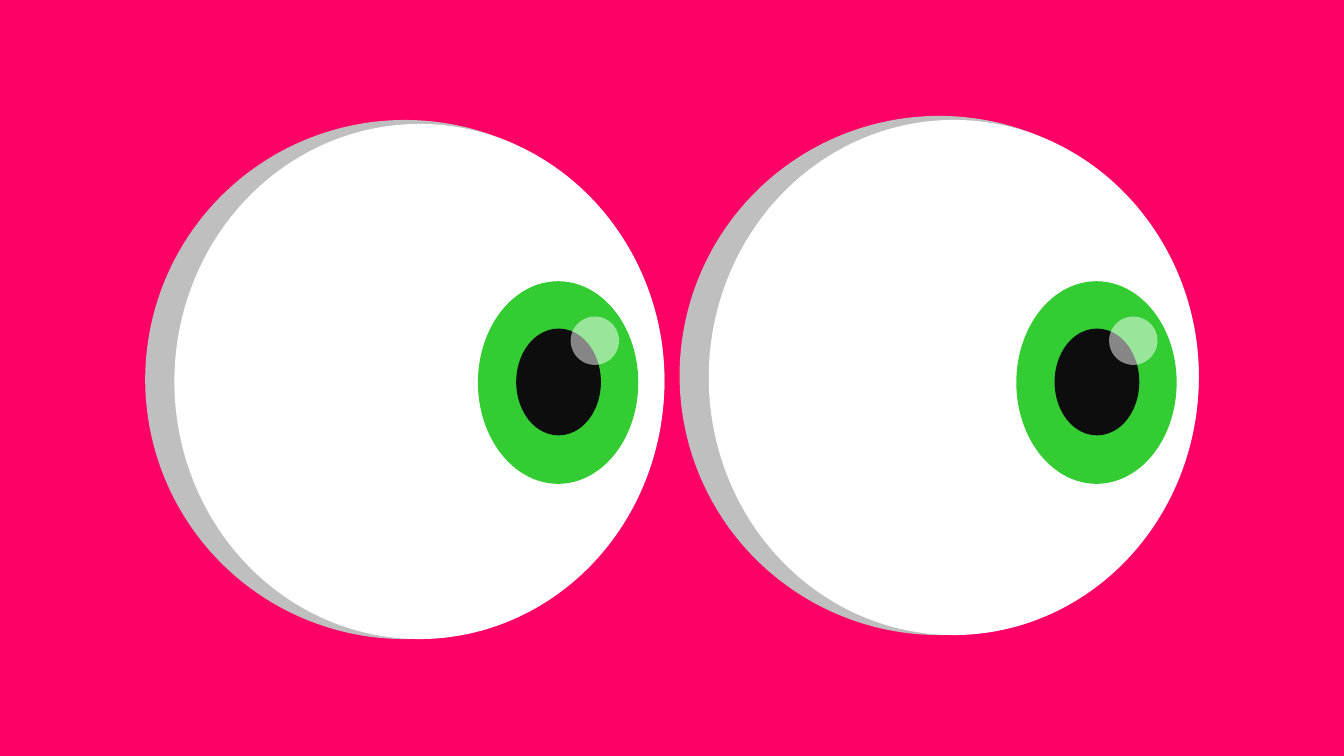
"""Build a slide with two cartoon eyes looking to the right."""
from lxml import etree
from pptx import Presentation
from pptx.dml.color import RGBColor
from pptx.enum.shapes import MSO_SHAPE
from pptx.oxml.ns import qn
from pptx.util import Inches

OVAL = MSO_SHAPE.OVAL
BLANK_LAYOUT = 6


def set_fill(fill, color, opacity=100):
    fill.solid()
    fill.fore_color.rgb = RGBColor.from_string(color)
    if opacity < 100:
        tint = fill._xPr.find(qn("a:solidFill"))[0]
        etree.SubElement(tint, qn("a:alpha"), val=str(opacity * 1000))


def add_oval(group, left, top, width, height, color, opacity=100):
    oval = group.shapes.add_shape(
        OVAL, Inches(left), Inches(top), Inches(width), Inches(height))
    oval.shadow.inherit = False
    oval.line.fill.background()
    set_fill(oval.fill, color, opacity)


prs = Presentation()
prs.slide_width = Inches(13.33)
prs.slide_height = Inches(7.5)
slide = prs.slides.add_slide(prs.slide_layouts[BLANK_LAYOUT])
set_fill(slide.background.fill, "FF0066")

IRIS_TOP = 2.79
eyes = [(1.44, 1.19, 4.74), (6.74, 1.15, 10.08)]

for ball_left, ball_top, iris_left in eyes:
    eyeball = slide.shapes.add_group_shape()
    add_oval(eyeball, ball_left, ball_top, 5.15, 5.15, "BFBFBF")
    add_oval(eyeball, ball_left + 0.29, ball_top + 0.04, 4.86, 5.11, "FFFFFF")

    iris = slide.shapes.add_group_shape()
    add_oval(iris, iris_left, IRIS_TOP, 1.59, 2.01, "33CC33")
    add_oval(iris, iris_left + 0.38, IRIS_TOP + 0.47, 0.84, 1.06, "0D0D0D")
    add_oval(iris, iris_left + 0.92, IRIS_TOP + 0.35, 0.48, 0.48, "FFFFFF", opacity=50)

prs.save("out.pptx")
